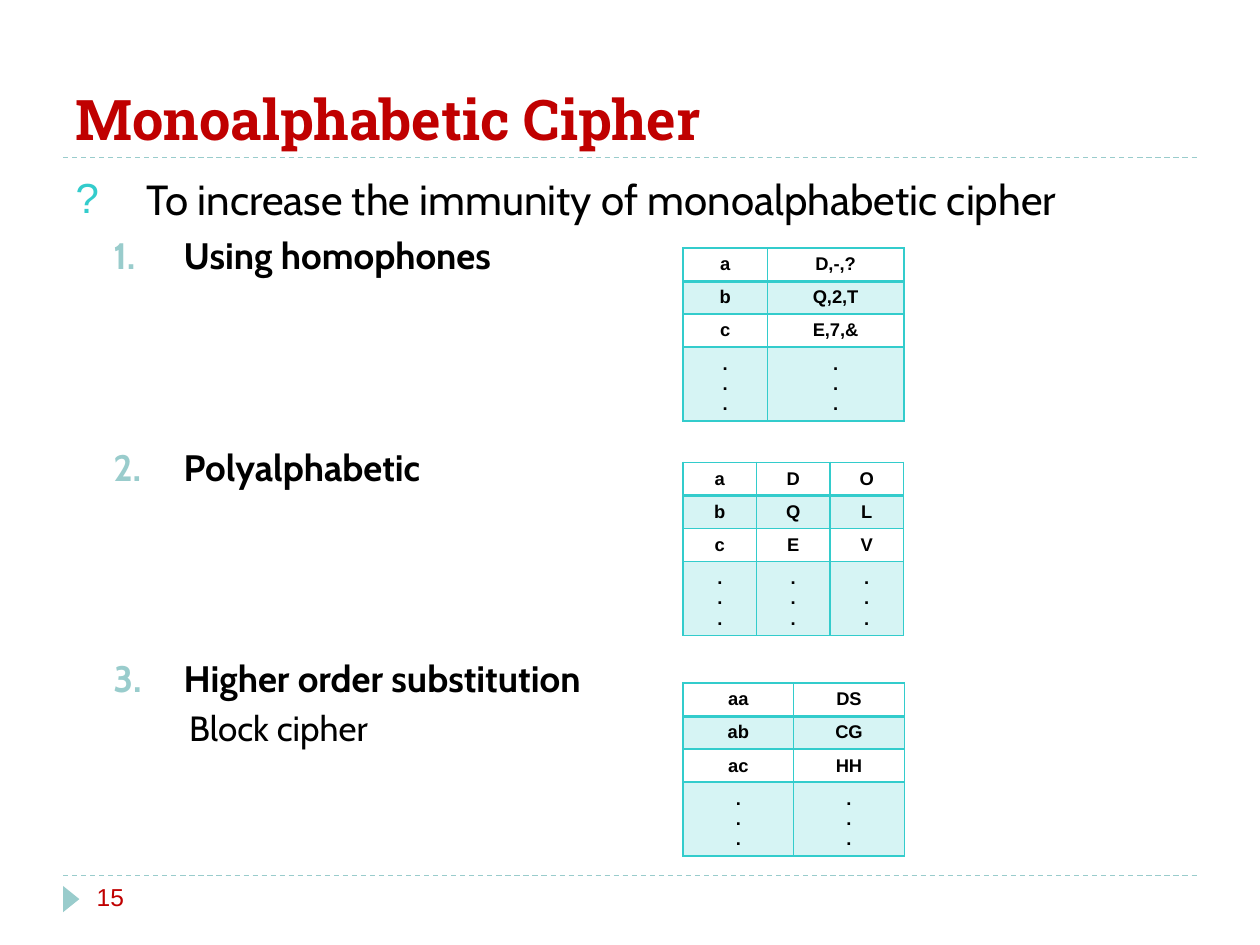
"""Build the slide on strengthening the monoalphabetic cipher."""
import lxml.etree
import pptx
import pptx.dml.color
import pptx.enum.dml
import pptx.enum.shapes
import pptx.enum.text
import pptx.oxml.ns
import pptx.util
from pptx.util import Cm, Pt


def color(value):
    return pptx.dml.color.RGBColor.from_string(value)


def add_element(parent, tag, **attributes):
    return lxml.etree.SubElement(parent, pptx.oxml.ns.qn(tag), attributes)


ACCENT, PALE, RED, BLACK = "33CCCC", "99CCCC", "C00000", "000000"

presentation = pptx.Presentation()
presentation.slide_width, presentation.slide_height = Cm(25.4), Cm(19.05)
slide = presentation.slides.add_slide(presentation.slide_layouts[1])

for y in (17.65, 3.18):
    rule = slide.shapes.add_connector(
        pptx.enum.shapes.MSO_CONNECTOR.STRAIGHT, Cm(1.27), Cm(y), Cm(24.13), Cm(y))
    rule.line.color.rgb = color(PALE)
    rule.line.width = Pt(0.75)
    rule.line.dash_style = pptx.enum.dml.MSO_LINE.DASH
    add_element(rule.element.spPr, "a:effectLst")

marker = slide.shapes.add_shape(
    pptx.enum.shapes.MSO_SHAPE.ISOSCELES_TRIANGLE, Cm(1.17), Cm(17.96), Cm(0.53), Cm(0.33))
marker.rotation = 90
marker.shadow.inherit = False
marker.fill.solid()
marker.fill.fore_color.rgb = color(PALE)
marker.line.fill.background()

title = slide.shapes.title
title.left, title.top, title.width, title.height = Cm(1.27), Cm(0.43), Cm(22.86), Cm(2.75)
title.text_frame.text = "Monoalphabetic Cipher"
title.text_frame.vertical_anchor = pptx.enum.text.MSO_ANCHOR.BOTTOM
title.text_frame.auto_size = pptx.enum.text.MSO_AUTO_SIZE.NONE
paragraph = title.text_frame.paragraphs[0]
paragraph.alignment = pptx.enum.text.PP_ALIGN.LEFT
paragraph.font.name = "Roboto Slab"
paragraph.font.size = Pt(32)
paragraph.font.bold = True
paragraph.font.color.rgb = color(RED)

body = slide.placeholders[1]
body.left, body.top, body.width, body.height = Cm(1.27), Cm(3.38), Cm(21.59), Cm(13.72)
body.text_frame.auto_size = pptx.enum.text.MSO_AUTO_SIZE.NONE
items = [
    ("To increase the immunity of monoalphabetic cipher", 0, 24, False, 0, 1.42, "?"),
    ("Using homophones", 1, 21, True, 5, 2.18, "number"),
    ("Polyalphabetic", 1, 21, True, 95.5, 2.18, "number"),
    ("Higher order substitution", 1, 21, True, 95.5, 2.18, "number"),
    ("Block cipher", 3, 20, False, 4, 3.71, None),
]
body.text_frame.text = "\n".join(item[0] for item in items)
for paragraph, item in zip(body.text_frame.paragraphs, items):
    text, level, size, bold, space, margin, bullet = item
    paragraph.level = level
    paragraph.space_before = Pt(space)
    paragraph.font.name = "Cabin"
    paragraph.font.size = Pt(size)
    paragraph.font.bold = bold
    paragraph.font.color.rgb = color(BLACK)
    properties = paragraph._p.get_or_add_pPr()
    properties.set("marL", str(Cm(margin)))
    properties.set("indent", str(-Cm(1.42)))
    bullet_parts = []
    if bullet:
        bullet_color = add_element(properties, "a:buClr")
        add_element(bullet_color, "a:srgbClr", val=ACCENT if bullet == "?" else PALE)
        bullet_parts.append(bullet_color)
    if bullet == "number":
        bullet_parts.append(add_element(properties, "a:buFont", typeface="Cabin"))
        bullet_parts.append(add_element(properties, "a:buAutoNum", type="arabicPeriod"))
    elif bullet:
        bullet_parts.append(add_element(properties, "a:buFont", typeface="Arial"))
        bullet_parts.append(add_element(properties, "a:buChar", char=bullet))
    else:
        bullet_parts.append(add_element(properties, "a:buNone"))
    default_run = properties.find(pptx.oxml.ns.qn("a:defRPr"))
    for part in bullet_parts:
        default_run.addprevious(part)

ciphers = [
    (5, [1.7, 2.75], [["a", "D,-,?"], ["b", "Q,2,T"], ["c", "E,7,&"]]),
    (9.32, [1.48] * 3, [["a", "D", "O"], ["b", "Q", "L"], ["c", "E", "V"]]),
    (13.77, [2.23] * 2, [["aa", "DS"], ["ab", "CG"], ["ac", "HH"]]),
]
row_heights = [0.66, 0.66, 0.66, 1.48]
for top, widths, rows in ciphers:
    rows = rows + [[".\n.\n."] * len(widths)]
    table = slide.shapes.add_table(
        len(rows), len(widths), Cm(13.77), Cm(top), Cm(sum(widths)), Cm(sum(row_heights))).table
    table.horz_banding = False
    for column, width in zip(table.columns, widths):
        column.width = Cm(width)
    for row_index, (row, height) in enumerate(zip(rows, row_heights)):
        table.rows[row_index].height = Cm(height)
        for column_index, text in enumerate(row):
            cell = table.cell(row_index, column_index)
            cell.text = text
            for paragraph in cell.text_frame.paragraphs:
                paragraph.alignment = pptx.enum.text.PP_ALIGN.CENTER
                paragraph.font.name = "Arial"
                paragraph.font.size = Pt(10.5)
                paragraph.font.bold = True
                paragraph.font.color.rgb = color(BLACK)
            properties = cell._tc.get_or_add_tcPr()
            for side in ("L", "R", "T", "B"):
                thick = (side, row_index) in (("B", 0), ("T", 1))
                border = add_element(properties, "a:ln" + side, w=str(Pt(2 if thick else 1)))
                add_element(add_element(border, "a:solidFill"), "a:srgbClr", val=ACCENT)
            if row_index % 2:
                cell.fill.solid()
                cell.fill.fore_color.rgb = color(ACCENT)
                tint = properties.find(pptx.oxml.ns.qn("a:solidFill"))[0]
                add_element(tint, "a:alpha", val="20000")
            else:
                cell.fill.background()

number = slide.shapes.add_textbox(Cm(1.7), Cm(17.65), Cm(5.51), Cm(1.02))
number.text_frame.word_wrap = True
number.text_frame.text = "15"
paragraph = number.text_frame.paragraphs[0]
paragraph.font.name = "Arial"
paragraph.font.size = Pt(14)
paragraph.font.color.rgb = color(RED)

presentation.save("out.pptx")
